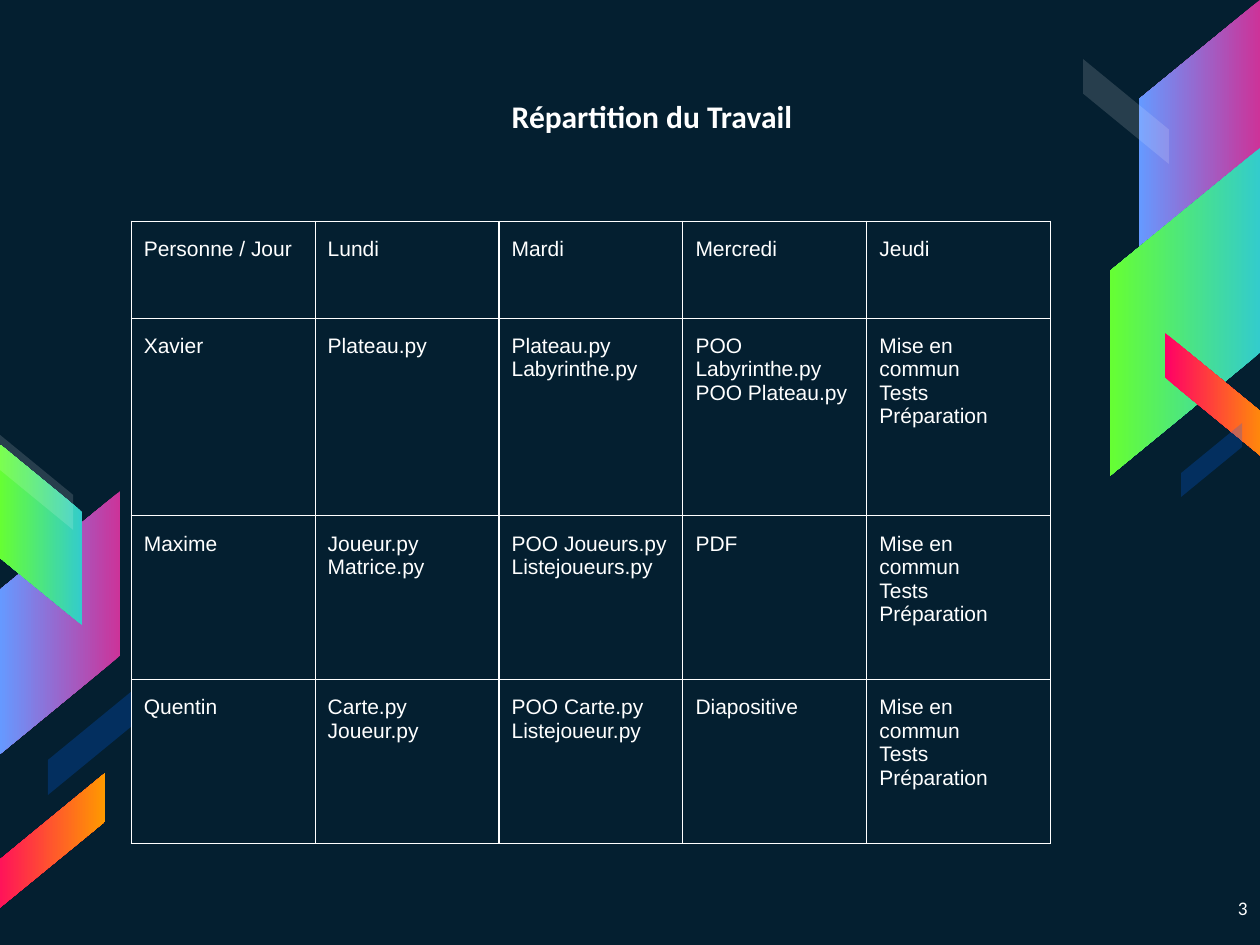
from pptx import Presentation
from pptx import util as u
from pptx.dml import color
from pptx.enum import dml, shapes, text
from pptx.oxml import ns, parse_xml

Pt = u.Pt

THEME = {
    "bg": "041F30", "ink": "FFFFFF",
    "violet": ("CC3399", "6699FF"), "green": ("33CCCC", "66FF33"),
    "orange": ("FF0066", "FF9900"), "white": ("FFFFFF", 14), "blue": ("0066FF", 23),
    "title": 18, "cell": 12, "number": 11,
    "head_font": "Calibri", "cell_font": "Arial",
}


def rgb(hex_code):
    return color.RGBColor.from_string(hex_code)


def style(tf, size, font, bold=False, align=text.PP_ALIGN.LEFT):
    for p in tf.paragraphs:
        p.alignment = align
        for r in p.runs:
            r.font.size, r.font.name, r.font.bold = Pt(size), font, bold
            r.font.color.rgb = rgb(THEME["ink"])


prs = Presentation()
prs.slide_width, prs.slide_height = Pt(720), Pt(540)
s = prs.slides.add_slide(prs.slide_layouts[5])
s.background.fill.solid()
s.background.fill.fore_color.rgb = rgb(THEME["bg"])

# Slanted ribbons: paint, rotation, rising to the right, then left, top, width, height as seen
ribbons = [
    ("violet", 90, True, 651, 0, 69, 151.2),
    ("green", 90, True, 634.3, 84.6, 85.7, 187.2),
    ("orange", 270, False, 665.7, 190.3, 61.6, 75.8),
    ("white", 270, False, 618.9, 33.7, 49.1, 60),
    ("blue", 270, True, 674.9, 241.7, 34.9, 42.3),
    ("violet", 90, True, 0, 280.4, 69, 150.5),
    ("green", 90, False, 0, 254.1, 46.8, 103),
    ("orange", 270, True, -8.8, 441.8, 68.8, 84),
    ("white", 270, False, -5, 244.4, 46.8, 58.4),
    ("blue", 270, True, 27.4, 395.4, 47.4, 58.9),
]
for paint, turn, rising, left, top, width, height in ribbons:
    # A quarter turn swaps width and height about the centre
    shift = (height - width) / 2
    sp = s.shapes.add_shape(shapes.MSO_SHAPE.PARALLELOGRAM, Pt(left - shift),
                            Pt(top + shift), Pt(height), Pt(width))
    sp.rotation = turn
    sp.adjustments[0] = 0.82
    sp.shadow.inherit = False
    sp.line.fill.background()
    if rising:
        sp._element.spPr.find(ns.qn("a:xfrm")).set("flipH", "1")
    first, second = THEME[paint]
    if isinstance(second, str):
        sp.fill.gradient()
        sp.fill.gradient_angle = 270
        for stop, hex_code in zip(sp.fill.gradient_stops, (first, second)):
            stop.color.rgb = rgb(hex_code)
    else:
        sp.fill.solid()
        sp.fill.fore_color.rgb = rgb(first)
        clr = sp._element.spPr.find(ns.qn("a:solidFill"))[0]
        clr.append(parse_xml(f'<a:alpha {ns.nsdecls("a")} val="{second * 1000}"/>'))

# Title
title = s.shapes.title
title.left, title.top, title.width, title.height = Pt(232.6), Pt(46.8), Pt(280), Pt(37.4)
tf = title.text_frame
tf.text = "Répartition du Travail"
tf.vertical_anchor = text.MSO_ANCHOR.BOTTOM
tf.auto_size = text.MSO_AUTO_SIZE.NONE
tf.margin_left = tf.margin_right = tf.margin_top = tf.margin_bottom = Pt(7.2)
style(tf, THEME["title"], THEME["head_font"], True, text.PP_ALIGN.CENTER)

# Work plan table
shared = "Mise en commun\nTests\nPréparation"
plan = [
    ["Personne / Jour", "Lundi", "Mardi", "Mercredi", "Jeudi"],
    ["Xavier", "Plateau.py", "Plateau.py\nLabyrinthe.py",
     "POO Labyrinthe.py\nPOO Plateau.py", shared],
    ["Maxime", "Joueur.py\nMatrice.py", "POO Joueurs.py\nListejoueurs.py", "PDF", shared],
    ["Quentin", "Carte.py\nJoueur.py", "POO Carte.py\nListejoueur.py", "Diapositive", shared],
]
row_heights = [55.4, 113, 93.6, 93.6]
col_width = 105.1
table = s.shapes.add_table(len(plan), len(plan[0]), Pt(75), Pt(126.4),
                           Pt(col_width * len(plan[0])), Pt(sum(row_heights))).table
table.first_row = table.horz_banding = False
for col in table.columns:
    col.width = Pt(col_width)
for row, height, words in zip(table.rows, row_heights, plan):
    row.height = Pt(height)
    for cell, word in zip(row.cells, words):
        cell.text_frame.text = word
        cell.margin_left = cell.margin_right = Pt(7.2)
        cell.margin_top = cell.margin_bottom = Pt(9.2)
        style(cell.text_frame, THEME["cell"], THEME["cell_font"])
        tcPr = cell._tc.get_or_add_tcPr()
        for side in ("lnL", "lnR", "lnT", "lnB"):
            tcPr.append(parse_xml(
                f'<a:{side} {ns.nsdecls("a")} w="{Pt(0.75)}"><a:solidFill>'
                f'<a:srgbClr val="{THEME["ink"]}"/></a:solidFill></a:{side}>'))
        cell.fill.background()

# Slide number
tf = s.shapes.add_textbox(Pt(673.9), Pt(505.4), Pt(46.1), Pt(34.6)).text_frame
tf.word_wrap = True
tf.margin_left = tf.margin_right = tf.margin_top = tf.margin_bottom = Pt(7.2)
tf.text = "3"
style(tf, THEME["number"], THEME["head_font"], align=text.PP_ALIGN.RIGHT)

prs.save("out.pptx")
